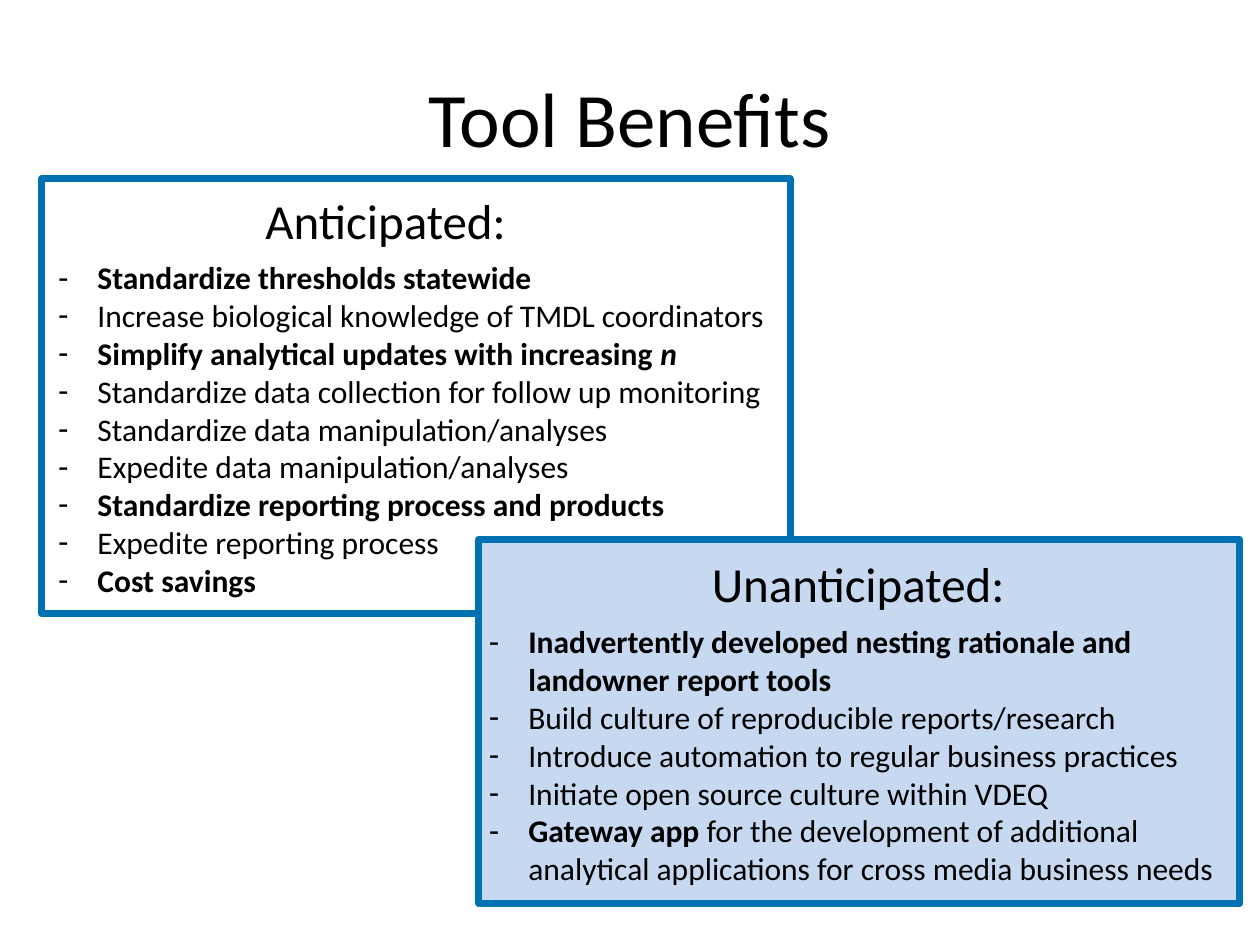
from lxml import etree
from pptx import Presentation
from pptx import util as u
from pptx.dml import color
from pptx.enum import shapes, text
from pptx.oxml import ns

COLORS = {"ink": "000000", "border": "0072B2", "panel": "C6D9F1"}
FONT = "Calibri"
INDENT = u.Pt(22.5)


def rgb(name):
    return color.RGBColor.from_string(COLORS[name])


def style(r, size, bold=False, italic=False):
    r.font.name = FONT
    r.font.size = u.Pt(size)
    r.font.bold = bold
    r.font.italic = italic
    r.font.color.rgb = rgb("ink")


panels = [
    {
        "heading": "Anticipated:",
        "frame": (23.75, 102.25, 427.75, 248.4),
        "heading_at": (43.2, 80.6, 354.25, 90),
        "list_at": (26, 144, 421.2, 247),
        "fill": None,
        "items": [
            [("Standardize thresholds statewide", "b")],
            [("Increase biological knowledge of TMDL coordinators", "")],
            [("Simplify analytical updates with increasing ", "b"), ("n", "bi")],
            [("Standardize data collection for follow up monitoring", "")],
            [("Standardize data manipulation/analyses", "")],
            [("Expedite data manipulation/analyses", "")],
            [("Standardize reporting process and products", "b")],
            [("Expedite reporting process", "")],
            [("Cost savings", "b")],
        ],
    },
    {
        "heading": "Unanticipated:",
        "frame": (273.6, 308.2, 435, 208),
        "heading_at": (313.2, 288, 354.25, 90),
        "list_at": (272.2, 352, 435.6, 181.5),
        "fill": "panel",
        "items": [
            [("Inadvertently developed nesting rationale and landowner report tools", "b")],
            [("Build culture of reproducible reports/research", "")],
            [("Introduce automation to regular business practices", "")],
            [("Initiate open source culture within VDEQ", "")],
            [("Gateway app ", "b"),
             ("for the development of additional analytical applications for cross media business needs", "")],
        ],
    },
]

prs = Presentation()
prs.slide_width, prs.slide_height = u.Pt(720), u.Pt(540)
s = prs.slides.add_slide(prs.slide_layouts[3])

title = s.shapes.title
title.left, title.top, title.width, title.height = map(u.Pt, (36, 21.6, 648, 90))
title.text_frame.text = "Tool Benefits"
style(title.text_frame.paragraphs[0].runs[0], 44)

for panel, body in zip(panels, list(s.placeholders)[1:3]):
    sp = s.shapes.add_shape(shapes.MSO_SHAPE.RECTANGLE, *map(u.Pt, panel["frame"]))
    sp.shadow.inherit = False
    sp.line.color.rgb = rgb("border")
    sp.line.width = u.Pt(4)
    if panel["fill"]:
        sp.fill.solid()
        sp.fill.fore_color.rgb = rgb(panel["fill"])
    else:
        sp.fill.background()

    sp.element.addnext(body.element)
    body.left, body.top, body.width, body.height = map(u.Pt, panel["list_at"])
    tf = body.text_frame
    tf.word_wrap = True
    tf.auto_size = text.MSO_AUTO_SIZE.NONE
    tf.vertical_anchor = text.MSO_ANCHOR.TOP
    for i, item in enumerate(panel["items"]):
        p = tf.add_paragraph() if i else tf.paragraphs[0]
        p.space_before = u.Pt(0)
        pPr = p._p.get_or_add_pPr()
        pPr.set("marL", str(INDENT))
        pPr.set("indent", str(-INDENT))
        etree.SubElement(pPr, ns.qn("a:buChar")).set("char", "-")
        for words, marks in item:
            r = p.add_run()
            r.text = words
            style(r, 18, "b" in marks, "i" in marks)

    heading = s.shapes.add_textbox(*map(u.Pt, panel["heading_at"]))
    tf = heading.text_frame
    tf.word_wrap = True
    tf.vertical_anchor = text.MSO_ANCHOR.MIDDLE
    tf.text = panel["heading"]
    p = tf.paragraphs[0]
    p.alignment = text.PP_ALIGN.CENTER
    style(p.runs[0], 28)

prs.save("out.pptx")
